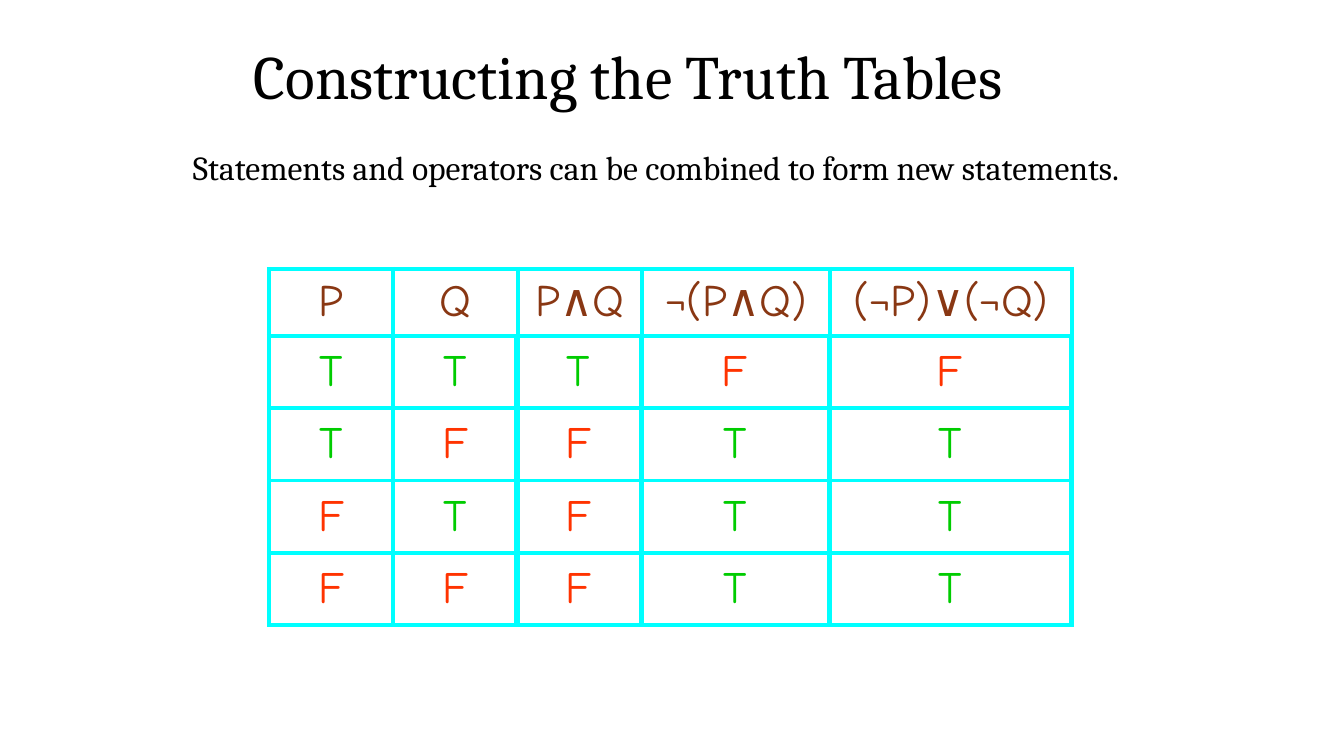
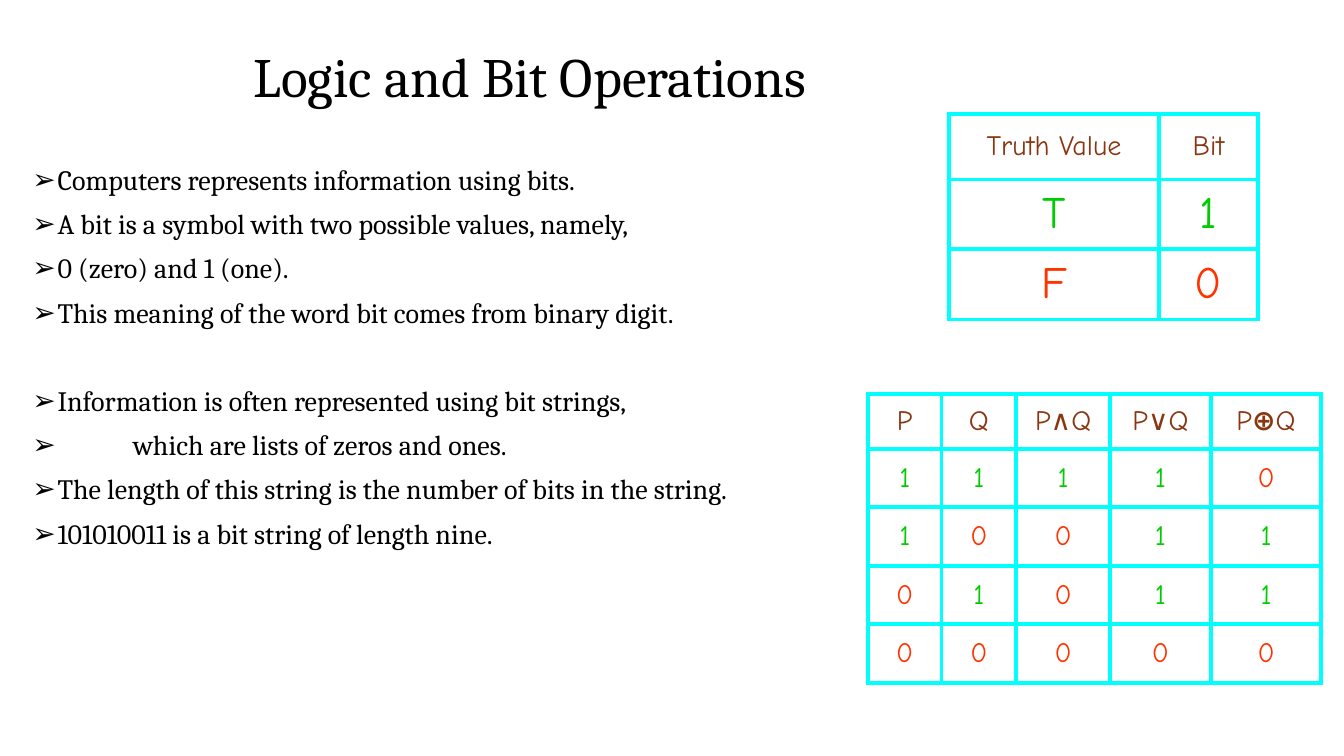
"""Build two slides on truth tables and bit operations."""
from dataclasses import dataclass

from lxml.etree import SubElement
from pptx import Presentation
from pptx.dml.color import RGBColor
from pptx.enum.text import MSO_ANCHOR as Anchor
from pptx.enum.text import MSO_AUTO_SIZE as AutoSize
from pptx.enum.text import PP_ALIGN as Align
from pptx.oxml import parse_xml
from pptx.oxml.ns import nsdecls, qn
from pptx.slide import Slide
from pptx.text.text import _Paragraph as Paragraph
from pptx.util import Pt

COLORS = {"text": "000000", "header": "893713", "true": "00CC00",
          "false": "FF3300", "grid": "00FFFF"}
BODY_FONT = "Cambria"
TABLE_FONT = "Comic Neue"
GRID_WIDTH = 3
BULLET_INDENT = 18
TAB_WIDTH = 72
BULLET_GAP = 10
GROUP_GAP = 41.5


@dataclass(frozen=True)
class Box:
    left: float
    top: float
    width: float
    height: float


@dataclass(frozen=True)
class TruthTable:
    left: float
    top: float
    columns: tuple[float, ...]
    rows: tuple[float, ...]
    headers: tuple[str, ...]
    values: tuple[str, ...]
    header_size: float
    value_size: float


TITLE_BOX = Box(174, 30, 612, 54)
STATEMENT_BOX = Box(98, 104.4, 741, 66)
BULLET_BOX = Box(16, 115.2, 741, 424.8)

BULLET_GROUPS = (
    ("Computers represents information using bits.",
     "A bit is a symbol with two possible values, namely,",
     "0 (zero) and 1 (one).",
     "This meaning of the word bit comes from binary digit."),
    ("Information is often represented using bit strings,",
     "\twhich are lists of zeros and ones.",
     "The length of this string is the number of bits in the string.",
     "101010011 is a bit string of length nine."),
)

VALUE_ROWS = (51.6,) * 4
INPUT_TABLE = TruthTable(
    192, 192, (88.9, 88.9, 88.9, 134.4, 172.8), (48, *VALUE_ROWS),
    ("P", "Q", "P∧Q", "¬(P∧Q)", "(¬P)∨(¬Q)"),
    ("TT", "TF", "FT", "FF"), 32, 32)
RESULT_TABLES = tuple(
    TruthTable(left, 240, (width,), VALUE_ROWS, (), tuple(values), 32, 32)
    for left, width, values in ((368.8, 89, "TFFF"), (457.6, 134.4, "FTTT"),
                                (592, 172.8, "FTTT")))
OPERATION_TABLE = TruthTable(
    620, 281.5, (52.6, 53.3, 67, 72.2, 78.6), (39,) + (41.8,) * 4,
    ("P", "Q", "P∧Q", "P∨Q", "P⊕Q"),
    ("11110", "10011", "01011", "00000"), 20, 20)
BIT_TABLE = TruthTable(
    678, 81.4, (149.8, 71), (46.8, 49.7, 50.4),
    ("Truth Value", "Bit"), ("T1", "F0"), 20, 32)


def format_runs(paragraph: Paragraph, font: str, size: float, color: str) -> None:
    """Apply one font, size and colour to every run."""
    for run in paragraph.runs:
        run.font.name = font
        run.font.size = Pt(size)
        run.font.color.rgb = RGBColor.from_string(COLORS[color])


def add_titled_slide(presentation: Presentation, text: str, size: float) -> Slide:
    """Add a title-only slide with its title placed and formatted."""
    slide = presentation.slides.add_slide(presentation.slide_layouts[5])
    title = slide.shapes.title
    title.left, title.top = Pt(TITLE_BOX.left), Pt(TITLE_BOX.top)
    title.width, title.height = Pt(TITLE_BOX.width), Pt(TITLE_BOX.height)
    frame = title.text_frame
    frame.text = text
    frame.auto_size = AutoSize.NONE
    frame.vertical_anchor = Anchor.MIDDLE
    paragraph = frame.paragraphs[0]
    paragraph.alignment = Align.LEFT
    paragraph.line_spacing = 0.9
    format_runs(paragraph, BODY_FONT, size, "text")
    return slide


def add_body(slide: Slide, box: Box, lines: list[str], size: float) -> list[Paragraph]:
    """Add a wrapping text box and return its paragraphs."""
    shape = slide.shapes.add_textbox(Pt(box.left), Pt(box.top), Pt(box.width), Pt(box.height))
    frame = shape.text_frame
    frame.word_wrap = True
    frame.text = "\n".join(lines)
    for paragraph in frame.paragraphs:
        paragraph.line_spacing = 0.9
        format_runs(paragraph, BODY_FONT, size, "text")
    return list(frame.paragraphs)


def add_bullets(slide: Slide) -> None:
    """Add the bullet groups, with a wider gap between groups."""
    lines = [line for group in BULLET_GROUPS for line in group]
    group_starts = {group[0] for group in BULLET_GROUPS}
    paragraphs = add_body(slide, BULLET_BOX, lines, 20)
    for index, (line, paragraph) in enumerate(zip(lines, paragraphs)):
        if index:
            paragraph.space_before = Pt(GROUP_GAP if line in group_starts else BULLET_GAP)
        properties = paragraph._p.get_or_add_pPr()
        properties.set("marL", str(Pt(BULLET_INDENT)))
        properties.set("indent", str(-Pt(BULLET_INDENT)))
        properties.set("defTabSz", str(Pt(TAB_WIDTH)))
        SubElement(properties, qn("a:buFont")).set("typeface", "Arial")
        SubElement(properties, qn("a:buChar")).set("char", "➢")


def add_truth_table(slide: Slide, spec: TruthTable) -> None:
    """Draw a bordered table whose values are coloured by truth."""
    table = slide.shapes.add_table(
        len(spec.rows), len(spec.columns), Pt(spec.left), Pt(spec.top),
        Pt(sum(spec.columns)), Pt(sum(spec.rows))).table
    table.first_row = table.horz_banding = False
    for column, width in zip(table.columns, spec.columns):
        column.width = Pt(width)
    for row, height in zip(table.rows, spec.rows):
        row.height = Pt(height)
    for cell in table.iter_cells():
        cell.vertical_anchor = Anchor.MIDDLE
        cell.fill.background()
        properties = cell._tc.get_or_add_tcPr()
        for position, side in enumerate("LRTB"):
            properties.insert(position, parse_xml(
                f'<a:ln{side} {nsdecls("a")} w="{Pt(GRID_WIDTH)}"><a:solidFill>'
                f'<a:srgbClr val="{COLORS["grid"]}"/></a:solidFill></a:ln{side}>'))
    text_rows = (spec.headers, *spec.values) if spec.headers else spec.values
    for row_index, texts in enumerate(text_rows):
        for column_index, text in enumerate(texts):
            paragraph = table.cell(row_index, column_index).text_frame.paragraphs[0]
            paragraph.alignment = Align.CENTER
            for part in text if "⊕" in text else (text,):
                run = paragraph.add_run()
                run.text = part
                run.font.bold = part == "⊕"
            if texts is spec.headers:
                format_runs(paragraph, TABLE_FONT, spec.header_size, "header")
            else:
                color = "true" if text in "T1" else "false"
                format_runs(paragraph, TABLE_FONT, spec.value_size, color)


def main() -> None:
    """Build and save the presentation."""
    presentation = Presentation()
    presentation.slide_width, presentation.slide_height = Pt(960), Pt(540)

    slide = add_titled_slide(presentation, "Constructing the Truth Tables", 44)
    statement = "Statements and operators can be combined to form new statements."
    add_body(slide, STATEMENT_BOX, [statement], 24)[0].alignment = Align.CENTER
    for spec in (INPUT_TABLE, *RESULT_TABLES):
        add_truth_table(slide, spec)

    slide = add_titled_slide(presentation, "Logic and Bit Operations", 39.6)
    add_bullets(slide)
    for spec in (OPERATION_TABLE, BIT_TABLE):
        add_truth_table(slide, spec)

    presentation.save("out.pptx")


if __name__ == "__main__":
    main()
